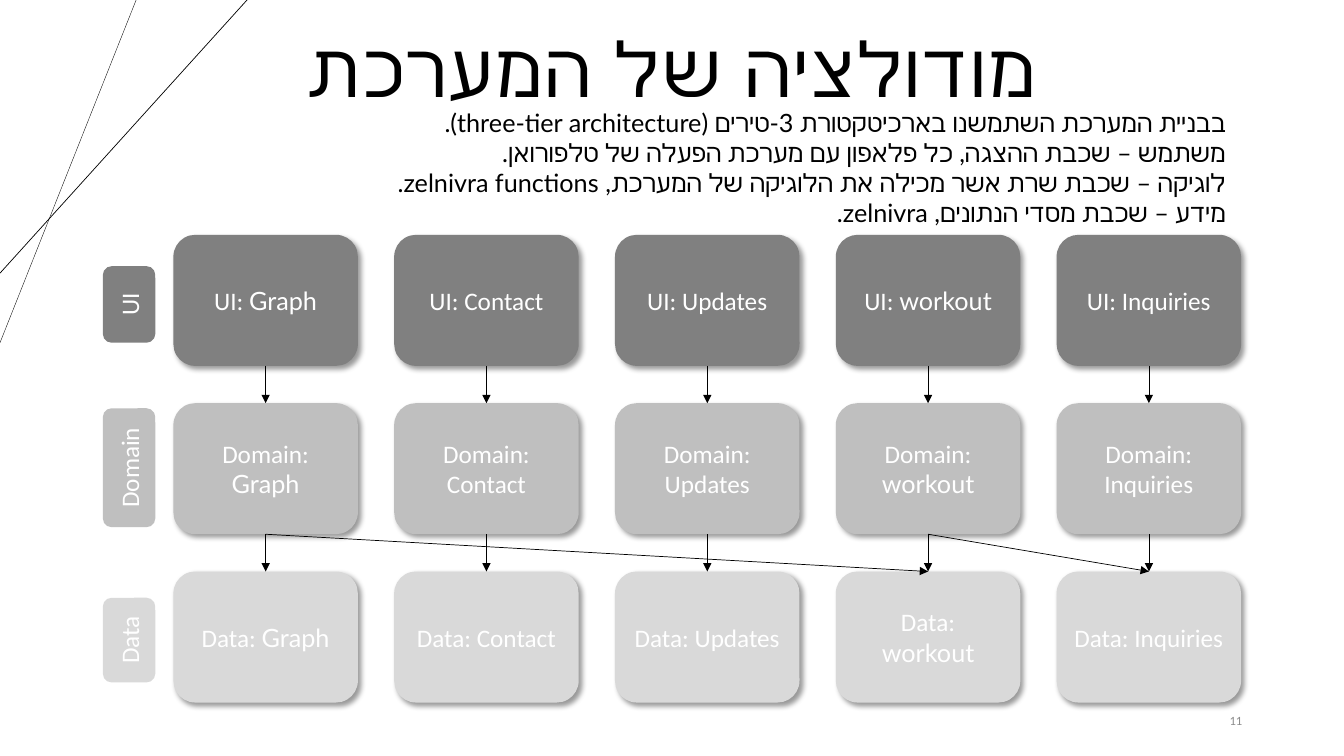
from lxml import etree
from pptx import Presentation
from pptx.dml.color import RGBColor
from pptx.enum.shapes import MSO_CONNECTOR, MSO_SHAPE
from pptx.enum.text import MSO_ANCHOR, MSO_AUTO_SIZE, PP_ALIGN
from pptx.oxml.ns import qn
from pptx.util import Inches, Pt

BLACK = RGBColor(0x00, 0x00, 0x00)
WHITE = RGBColor(0xFF, 0xFF, 0xFF)
DARK_GRAY = RGBColor(0x80, 0x80, 0x80)
MID_GRAY = RGBColor(0xBF, 0xBF, 0xBF)
LIGHT_GRAY = RGBColor(0xD9, 0xD9, 0xD9)
NUMBER_GRAY = RGBColor(0x8C, 0x8C, 0x8C)

STRAIGHT = MSO_CONNECTOR.STRAIGHT
ROUNDED = MSO_SHAPE.ROUNDED_RECTANGLE
TAB = MSO_SHAPE.FLOWCHART_ALTERNATE_PROCESS
MIDDLE, TOP = MSO_ANCHOR.MIDDLE, MSO_ANCHOR.TOP
CENTER, RIGHT = PP_ALIGN.CENTER, PP_ALIGN.RIGHT
NO_FIT, GROW = MSO_AUTO_SIZE.NONE, MSO_AUTO_SIZE.SHAPE_TO_FIT_TEXT
TOP_SIDE, BOTTOM_SIDE = 0, 2


class ArchitectureSlide:
    LATIN, ACCENT = "Calibri", "Lato"
    TEXT_SIZE = 18

    def __init__(self, slide):
        self.slide = slide
        self.shapes = slide.shapes

    def add_run(self, paragraph, text, font, size, color):
        run = paragraph.add_run()
        run.text = text
        run.font.name = font
        run.font.size = Pt(size)
        run.font.color.rgb = color
        properties = run.font._element
        etree.SubElement(properties, qn("a:cs"), typeface=font)
        return properties

    def place(self, shape, left, top, width, height):
        shape.left, shape.top = Inches(left), Inches(top)
        shape.width, shape.height = Inches(width), Inches(height)

    def title(self, text, *box):
        title = self.shapes.title
        self.place(title, *box)
        frame = title.text_frame
        frame.auto_size, frame.vertical_anchor = NO_FIT, MIDDLE
        heading = frame.paragraphs[0]
        heading.alignment, heading.line_spacing = CENTER, 0.9
        heading.space_after = Pt(6)
        heading._p.get_or_add_pPr().set("rtl", "1")
        self.add_run(heading, text, self.ACCENT, 54, BLACK).set("spc", "150")

    def body(self, lines, *box):
        body = self.slide.placeholders[1]
        self.place(body, *box)
        frame = body.text_frame
        frame.auto_size, frame.vertical_anchor = GROW, TOP
        for index, line in enumerate(lines):
            paragraph = frame.add_paragraph() if index else frame.paragraphs[0]
            paragraph.alignment = RIGHT
            paragraph.space_before = Pt(0)
            properties = paragraph._p.get_or_add_pPr()
            for key, value in (("marL", "0"), ("indent", "0"), ("rtl", "1")):
                properties.set(key, value)
            etree.SubElement(properties, qn("a:buNone"))
            self.add_run(paragraph, line, self.ACCENT, self.TEXT_SIZE, BLACK)

    def page_number(self, text, *box):
        frame = self.shapes.add_textbox(*map(Inches, box)).text_frame
        frame.word_wrap, frame.vertical_anchor = True, MIDDLE
        paragraph = frame.paragraphs[0]
        paragraph.alignment = RIGHT
        self.add_run(paragraph, text, self.LATIN, 9, NUMBER_GRAY)

    def block(self, kind, runs, fill, *box):
        block = self.shapes.add_shape(kind, *map(Inches, box))
        block.shadow.inherit = False
        block.fill.solid()
        block.fill.fore_color.rgb = fill
        block.line.fill.background()
        frame = block.text_frame
        frame.word_wrap, frame.vertical_anchor = True, MIDDLE
        paragraph = frame.paragraphs[0]
        paragraph.alignment = CENTER
        for text, font in runs:
            self.add_run(paragraph, text, font, self.TEXT_SIZE, WHITE)
        return block

    def module(self, runs, fill, *box):
        module = self.block(ROUNDED, runs, fill, *box)
        effects = module._element.spPr.find(qn("a:effectLst"))
        shadow = etree.SubElement(
            effects, qn("a:outerShdw"), blurRad=str(Pt(4)), dist=str(Pt(3)),
            dir="2700000", algn="tl", rotWithShape="0")
        color = etree.SubElement(shadow, qn("a:srgbClr"), val=str(BLACK))
        etree.SubElement(color, qn("a:alpha"), val="40000")
        return module

    def layer_tab(self, name, fill, center_x, center_y, length, thickness):
        tab = self.block(TAB, [(name, self.LATIN)], fill, center_x - length / 2,
                         center_y - thickness / 2, length, thickness)
        tab.rotation = 270

    def line(self, x1, y1, x2, y2, weight):
        line = self.shapes.add_connector(STRAIGHT, *map(Inches, (x1, y1, x2, y2)))
        line.line.color.rgb = BLACK
        line.line.width = Pt(weight)
        etree.SubElement(line._element.spPr, qn("a:effectLst"))
        return line

    def arrow(self, upper, lower):
        arrow = self.line(0, 0, 1, 1, 0.5)
        arrow.begin_connect(upper, BOTTOM_SIDE)
        arrow.end_connect(lower, TOP_SIDE)
        etree.SubElement(arrow.line._get_or_add_ln(), qn("a:tailEnd"), type="triangle")


def main():
    deck = Presentation()
    deck.slide_width, deck.slide_height = Inches(13.33), Inches(7.5)
    page = ArchitectureSlide(deck.slides.add_slide(deck.slide_layouts[1]))

    # Corner lines
    page.line(1.35, 0, 0, 3.4, 0.25)
    page.line(2.45, 0, 0, 2.71, 0.5)

    # Title, description and page number
    page.title("מודולציה של המערכת", 2.06, 0, 9.21, 1.45)
    page.body([
        "בבניית המערכת השתמשנו בארכיטקטורת 3-טירים (three-tier architecture).",
        "משתמש – שכבת ההצגה, כל פלאפון עם מערכת הפעלה של טלפורואן.",
        "לוגיקה – שכבת שרת אשר מכילה את הלוגיקה של המערכת, zelnivra functions.",
        "מידע – שכבת מסדי הנתונים, zelnivra.",
    ], 1.28, 1.01, 10.98, 1.31)
    page.page_number("11", 9.42, 6.95, 3, 0.4)

    # Grid of modules: one column per feature, one row per layer
    layers = [("UI", DARK_GRAY, 3.02, 0.76), ("Domain", MID_GRAY, 4.64, 1.18),
              ("Data", LIGHT_GRAY, 6.35, 0.84)]
    features = [("Graph", page.ACCENT), ("Contact", page.LATIN),
                ("Updates", page.LATIN), ("workout", page.ACCENT),
                ("Inquiries", page.LATIN)]
    left, top, column_step, row_step = 1.72, 2.33, 2.19, 1.67
    modules = {}
    for column, (feature, font) in enumerate(features):
        for row, (layer, fill, _, _) in enumerate(layers):
            modules[layer, feature] = page.module(
                [(f"{layer}: ", page.LATIN), (feature, font)], fill,
                left + column * column_step, top + row * row_step, 1.83, 1.3)

    # Arrows down each column, then across columns
    for upper, lower in (("UI", "Domain"), ("Domain", "Data")):
        for feature, _ in features:
            page.arrow(modules[upper, feature], modules[lower, feature])
    for source, target in (("Graph", "workout"), ("workout", "Inquiries")):
        page.arrow(modules["Domain", source], modules["Data", target])

    # Layer tabs
    for layer, fill, center_y, length in layers:
        page.layer_tab(layer, fill, 1.28, center_y, length, 0.52)

    deck.save("out.pptx")


if __name__ == "__main__":
    main()
